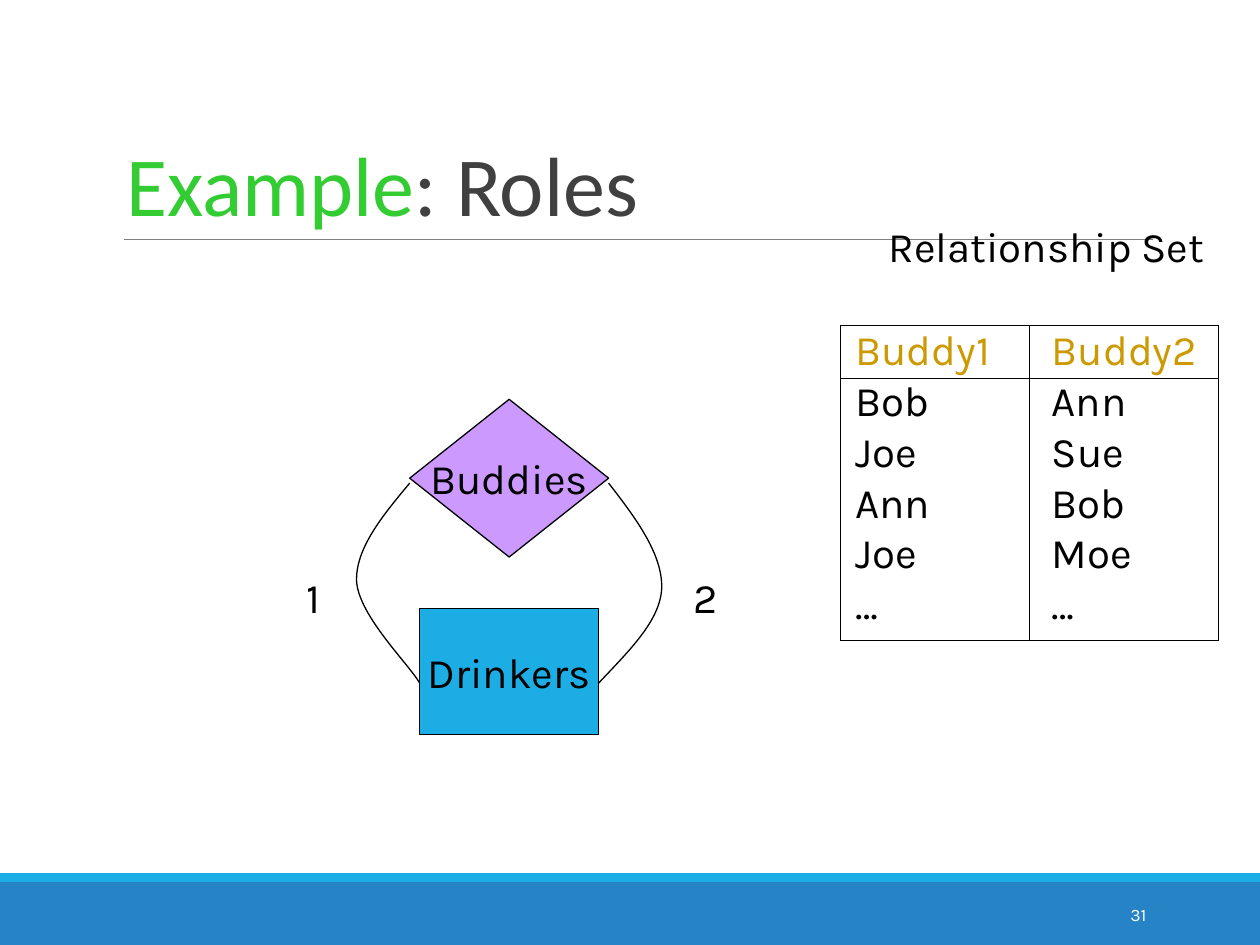
"""Build the slide "Example: Roles" with an entity diagram and its relationship set."""
import lxml.etree
import pptx
import pptx.util
import pptx.dml.color
import pptx.enum.shapes
import pptx.enum.text
import pptx.oxml
import pptx.oxml.ns

Cm = pptx.util.Cm
Pt = pptx.util.Pt
SHAPE = pptx.enum.shapes.MSO_SHAPE
ALIGN = pptx.enum.text.PP_ALIGN
ANCHOR = pptx.enum.text.MSO_ANCHOR
qn = pptx.oxml.ns.qn

COLORS = {
    "blue": "2683C6", "cyan": "1CADE4", "rule": "7F7F7F", "green": "33CC33",
    "title": "404040", "white": "FFFFFF", "black": "000000",
    "purple": "CC99FF", "gold": "CC9900",
}
TITLE = [("Example", "green"), (": Roles", "title")]
BANDS = [("blue", 17.78, 1.27), ("cyan", 17.6, 0.18)]
NODES = [
    ("Drinkers", SHAPE.RECTANGLE, "cyan", (8.46, 12.27, 3.61, 2.54)),
    ("Buddies", SHAPE.DIAMOND, "purple", (8.26, 8.05, 4.01, 3.18)),
]
LABELS = [
    ("1", (5.92, 11.4, 0.99, 1.27), {}),
    ("2", (13.74, 11.4, 0.99, 1.27), {}),
    ("Relationship Set", (17.66, 4.32, 7.2, 1.27), {}),
    ("31", (20.62, 17.93, 2.74, 1.02),
     {"size": 10, "color": "white", "align": ALIGN.RIGHT, "anchor": ANCHOR.MIDDLE}),
]
ROLE_CURVES = [
    [(12.27, 9.74), (12.83, 10.46), (13.36, 11.18), (13.34, 11.86),
     (13.31, 12.52), (12.67, 13.13), (12.07, 13.77)],
    [(8.26, 9.74), (7.7, 10.41), (7.16, 11.07), (7.19, 11.73),
     (7.24, 12.42), (8.26, 13.41), (8.46, 13.77)],
]
BUDDIES = [
    ("Buddy1", "Buddy2"), ("Bob", "Ann"), ("Joe", "Sue"),
    ("Ann", "Bob"), ("Joe", "Moe"), ("…", "…"),
]
ROW_HEIGHTS = [1.07, 1.02, 1.02, 1.02, 1.02, 1.2]
COLUMN_WIDTH = 3.81
COLUMN_INDENTS = [0.3, 0.45]
LINE_WIDTH = 0.75


def rgb(name):
    return pptx.dml.color.RGBColor.from_string(COLORS[name])


def write(frame, text, size=24, color="black", font="Karla", align=ALIGN.LEFT,
          anchor=ANCHOR.TOP, wrap=False):
    """Write text, or (text, color) runs, as the only paragraph of a frame."""
    frame.word_wrap = wrap
    frame.vertical_anchor = anchor
    paragraph = frame.paragraphs[0]
    paragraph.alignment = align
    for part, part_color in [(text, color)] if isinstance(text, str) else text:
        run = paragraph.add_run()
        run.text = part
        run.font.size = Pt(size)
        run.font.name = font
        run.font.color.rgb = rgb(part_color)
    return paragraph


def style(shape, fill=None, line=None):
    shape.shadow.inherit = False
    if fill:
        shape.fill.solid()
        shape.fill.fore_color.rgb = rgb(fill)
    else:
        shape.fill.background()
    if line:
        shape.line.color.rgb = rgb(line)
        shape.line.width = Pt(LINE_WIDTH)
    else:
        shape.line.fill.background()


def add_curve(slide, points):
    start, *controls = [(Cm(x), Cm(y)) for x, y in points]
    builder = slide.shapes.build_freeform(*start)
    builder.add_line_segments(controls, close=False)
    curve = builder.convert_to_shape()
    style(curve, line="black")
    segments = list(curve.element.iter(qn("a:lnTo")))
    for first in range(0, len(segments), 3):
        bezier = lxml.etree.Element(qn("a:cubicBezTo"))
        segments[first].addprevious(bezier)
        for segment in segments[first:first + 3]:
            bezier.append(segment[0])
            segment.getparent().remove(segment)


def set_borders(cell, visible):
    properties = cell._tc.get_or_add_tcPr()
    for index, side in enumerate("LRTB"):
        border = lxml.etree.Element(qn(f"a:ln{side}"), w=str(Pt(LINE_WIDTH)))
        if side in visible:
            fill = lxml.etree.SubElement(border, qn("a:solidFill"))
            lxml.etree.SubElement(fill, qn("a:srgbClr"), val=COLORS["black"])
        else:
            lxml.etree.SubElement(border, qn("a:noFill"))
        properties.insert(index, border)


def add_relationship_set(slide):
    last = len(BUDDIES) - 1
    table = slide.shapes.add_table(
        len(BUDDIES), 2, Cm(16.94), Cm(6.56),
        Cm(2 * COLUMN_WIDTH), Cm(sum(ROW_HEIGHTS))).table
    table.first_row = table.horz_banding = False
    for column in table.columns:
        column.width = Cm(COLUMN_WIDTH)
    for row_index, names in enumerate(BUDDIES):
        table.rows[row_index].height = Cm(ROW_HEIGHTS[row_index])
        for column_index, name in enumerate(names):
            cell = table.cell(row_index, column_index)
            cell.margin_left = Cm(COLUMN_INDENTS[column_index])
            cell.margin_top = cell.margin_bottom = cell.margin_right = 0
            cell.fill.background()
            write(cell.text_frame, name, color="black" if row_index else "gold",
                  wrap=True)
            cell.vertical_anchor = ANCHOR.TOP if row_index else ANCHOR.MIDDLE
            top = "T" if row_index < 2 else ""
            bottom = "B" if row_index in (0, last) else ""
            set_borders(cell, "LR" + top + bottom)


def main():
    presentation = pptx.Presentation()
    presentation.slide_width = Cm(25.4)
    presentation.slide_height = Cm(19.05)
    slide = presentation.slides.add_slide(presentation.slide_layouts[5])

    for color, top, height in BANDS:
        band = slide.shapes.add_shape(
            SHAPE.RECTANGLE, 0, Cm(top), presentation.slide_width, Cm(height))
        style(band, fill=color)
    rule = slide.shapes.add_connector(
        pptx.enum.shapes.MSO_CONNECTOR.STRAIGHT, Cm(2.49), Cm(4.83), Cm(23.24), Cm(4.83))
    rule.line.color.rgb = rgb("rule")
    rule.line.width = Pt(0.5)
    lxml.etree.SubElement(rule.element.spPr, qn("a:effectLst"))

    title = slide.shapes.title
    title.left, title.top, title.width, title.height = map(Cm, (2.29, 0.79, 20.96, 4.04))
    title.text_frame.auto_size = pptx.enum.text.MSO_AUTO_SIZE.NONE
    write(title.text_frame, TITLE, size=48, font="Calibri", anchor=ANCHOR.BOTTOM,
          wrap=True).line_spacing = 0.85

    for text, kind, color, box in NODES:
        node = slide.shapes.add_shape(kind, *map(Cm, box))
        style(node, fill=color, line="black")
        write(node.text_frame, text, align=ALIGN.CENTER, anchor=ANCHOR.MIDDLE)
    for points in ROLE_CURVES:
        add_curve(slide, points)
    add_relationship_set(slide)
    for text, box, text_format in LABELS:
        label = slide.shapes.add_textbox(*map(Cm, box))
        write(label.text_frame, text, **{"wrap": True, **text_format})
    presentation.save("out.pptx")


if __name__ == "__main__":
    main()
